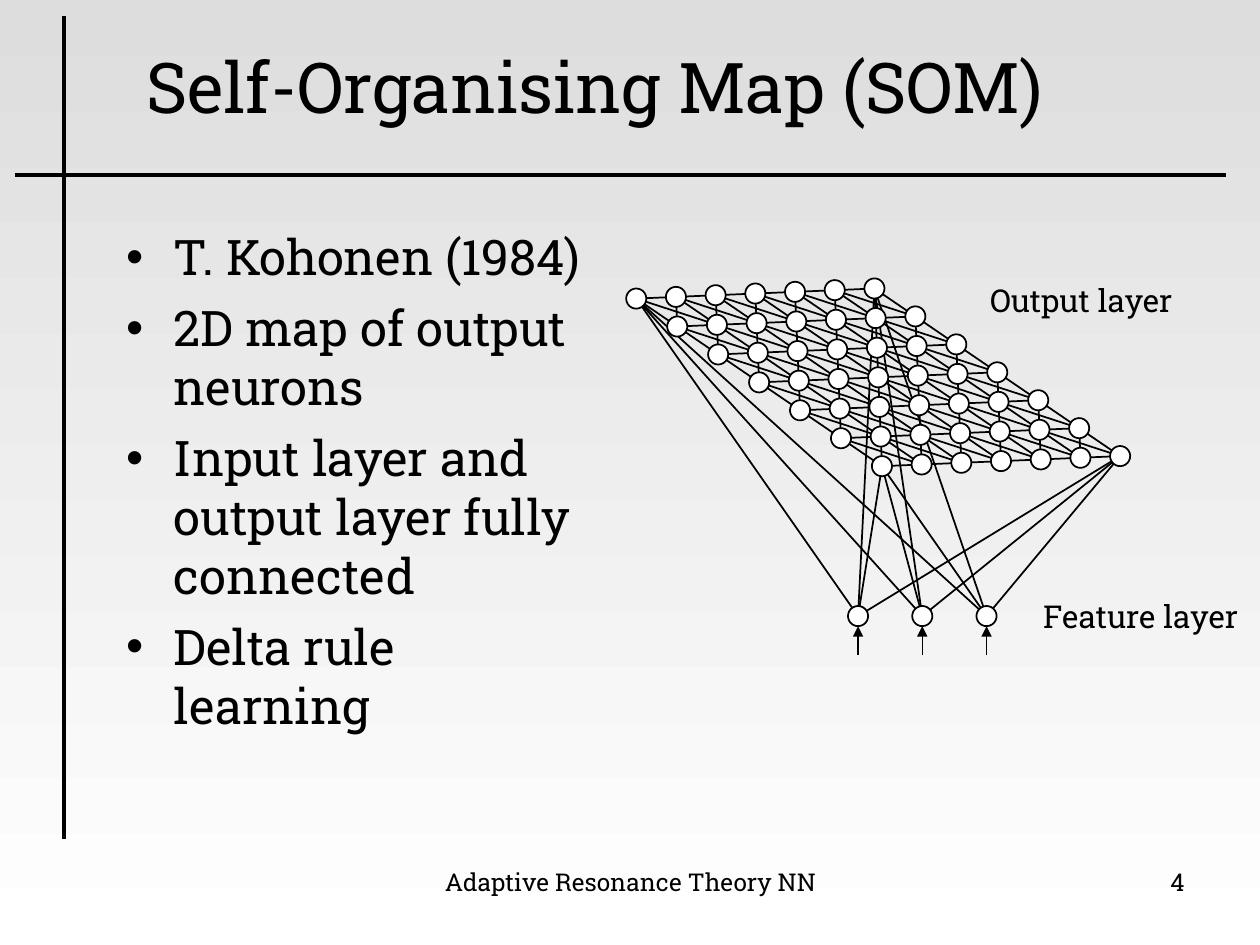
from dataclasses import dataclass

from lxml import etree
from pptx import Presentation
from pptx.dml.color import RGBColor
from pptx.enum.shapes import MSO_CONNECTOR, MSO_SHAPE
from pptx.enum.text import MSO_ANCHOR, MSO_AUTO_SIZE, PP_ALIGN
from pptx.oxml.ns import qn
from pptx.util import Inches, Pt

STRAIGHT = MSO_CONNECTOR.STRAIGHT
OVAL = MSO_SHAPE.OVAL
TOP, MIDDLE = MSO_ANCHOR.TOP, MSO_ANCHOR.MIDDLE
NO_FIT, FIT_SHAPE = MSO_AUTO_SIZE.NONE, MSO_AUTO_SIZE.SHAPE_TO_FIT_TEXT
LEFT, CENTER, RIGHT = PP_ALIGN.LEFT, PP_ALIGN.CENTER, PP_ALIGN.RIGHT


@dataclass(frozen=True)
class Theme:
    font: str = "Roboto Slab"
    ink: RGBColor = RGBColor(0x00, 0x00, 0x00)
    node: RGBColor = RGBColor(0xFF, 0xFF, 0xFF)
    background_top: RGBColor = RGBColor(0xDD, 0xDD, 0xDD)
    background_bottom: RGBColor = RGBColor(0xFF, 0xFF, 0xFF)
    title: int = 40
    body: int = 28
    label: int = 18
    footer: int = 14
    rule_width: float = 2.25
    link_width: float = 1
    arrow_width: float = 0.75


theme = Theme()


def write_text(shape, lines, box, size, align=LEFT, anchor=TOP, fit=NO_FIT,
               wrap=True, space_before=0, hanging=0):
    shape.left, shape.top, shape.width, shape.height = map(Inches, box)
    frame = shape.text_frame
    frame.text = "\n".join(lines)
    frame.word_wrap, frame.auto_size, frame.vertical_anchor = wrap, fit, anchor
    for index, paragraph in enumerate(frame.paragraphs):
        paragraph.alignment = align
        paragraph.space_before = Pt(space_before if index else 0)
        if hanging:
            properties = paragraph._p.get_or_add_pPr()
            properties.set("marL", str(Inches(hanging)))
            properties.set("indent", str(-Inches(hanging)))
        font = paragraph.runs[0].font
        font.name, font.size = theme.font, Pt(size)
        font.color.rgb = theme.ink


def draw_line(start, end, width, arrow=False):
    connector = slide.shapes.add_connector(STRAIGHT, *map(Inches, start + end))
    connector.line.color.rgb = theme.ink
    connector.line.width = Pt(width)
    if arrow:
        line = connector.line._get_or_add_ln()
        etree.SubElement(line, qn("a:tailEnd"), type="triangle")
    etree.SubElement(connector._element.spPr, qn("a:effectLst"))


presentation = Presentation()
presentation.slide_width = Inches(10)
presentation.slide_height = Inches(7.5)
slide = presentation.slides.add_slide(presentation.slide_layouts[1])

# Background gradient, darker at the top
background = slide.background.fill
background.gradient()
background.gradient_angle = 270
for stop, color in zip(background.gradient_stops,
                       (theme.background_top, theme.background_bottom)):
    stop.color.rgb = color

# Crossing rules
draw_line((0.12, 1.39), (9.73, 1.39), theme.rule_width)
draw_line((0.51, 0.13), (0.51, 6.66), theme.rule_width)

# Title and list
write_text(slide.shapes.title, ["Self-Organising Map (SOM)"],
           (1.06, 0.29, 8.66, 0.77), theme.title, anchor=MIDDLE)
write_text(slide.placeholders[1],
           ["T. Kohonen (1984)",
            "2D map of output neurons",
            "Input layer and output layer fully connected",
            "Delta rule learning"],
           (0.9, 1.75, 3.94, 4.95), theme.body, space_before=7, hanging=0.38)

# Node centres: a slanted square map above a row of features
GRID = 7
LAST = GRID - 1
MAP_LEFT, MAP_TOP = 5.05, 2.37
MAP_WIDTH, MAP_RISE = 1.89, 0.08
MAP_SHIFT, MAP_DROP = 1.95, 1.33
neurons = {
    (row, column): (MAP_LEFT + (column * MAP_WIDTH + row * MAP_SHIFT) / LAST,
                    MAP_TOP + (row * MAP_DROP - column * MAP_RISE) / LAST)
    for row in range(GRID) for column in range(GRID)
}
features = [(6.81 + 0.51 * index, 4.89) for index in range(3)]

# Links from the map corners to every feature
for corner in ((0, 0), (0, LAST), (LAST, 0), (LAST, LAST)):
    for feature in features:
        draw_line(neurons[corner], feature, theme.link_width)

# Links inside the map: rows, columns and both sets of diagonals
for index in range(GRID):
    draw_line(neurons[index, 0], neurons[index, LAST], theme.link_width)
    draw_line(neurons[0, index], neurons[LAST, index], theme.link_width)
for offset in range(1 - LAST, LAST):
    low, high = max(0, offset), min(LAST, LAST + offset)
    draw_line(neurons[low - offset, low], neurons[high - offset, high],
              theme.link_width)
    draw_line(neurons[LAST - low + offset, low],
              neurons[LAST - high + offset, high], theme.link_width)

# Nodes over the links
NODE_SIZE = 0.16
for x, y in [*neurons.values(), *features]:
    node = slide.shapes.add_shape(
        OVAL, Inches(x - NODE_SIZE / 2), Inches(y - NODE_SIZE / 2),
        Inches(NODE_SIZE), Inches(NODE_SIZE))
    node.rotation = 357.5
    node.shadow.inherit = False
    node.fill.solid()
    node.fill.fore_color.rgb = theme.node
    node.line.color.rgb = theme.ink
    node.line.width = Pt(theme.link_width)

# Input arrows
for x, y in features:
    draw_line((x, 5.2), (x, y + NODE_SIZE / 2), theme.arrow_width, arrow=True)

# Layer labels
for label, box in (("Output layer", (7.76, 2.18, 1.76, 0.4)),
                   ("Feature layer", (8.18, 4.69, 1.81, 0.4))):
    write_text(slide.shapes.add_textbox(0, 0, 0, 0), [label], box, theme.label,
               fit=FIT_SHAPE, wrap=False)

# Footer and slide number
for text, box, align in (
        ("Adaptive Resonance Theory NN", (3.42, 6.83, 3.17, 0.52), CENTER),
        ("4", (7.17, 6.83, 2.33, 0.52), RIGHT)):
    write_text(slide.shapes.add_textbox(0, 0, 0, 0), [text], box, theme.footer,
               align=align)

presentation.save("out.pptx")
